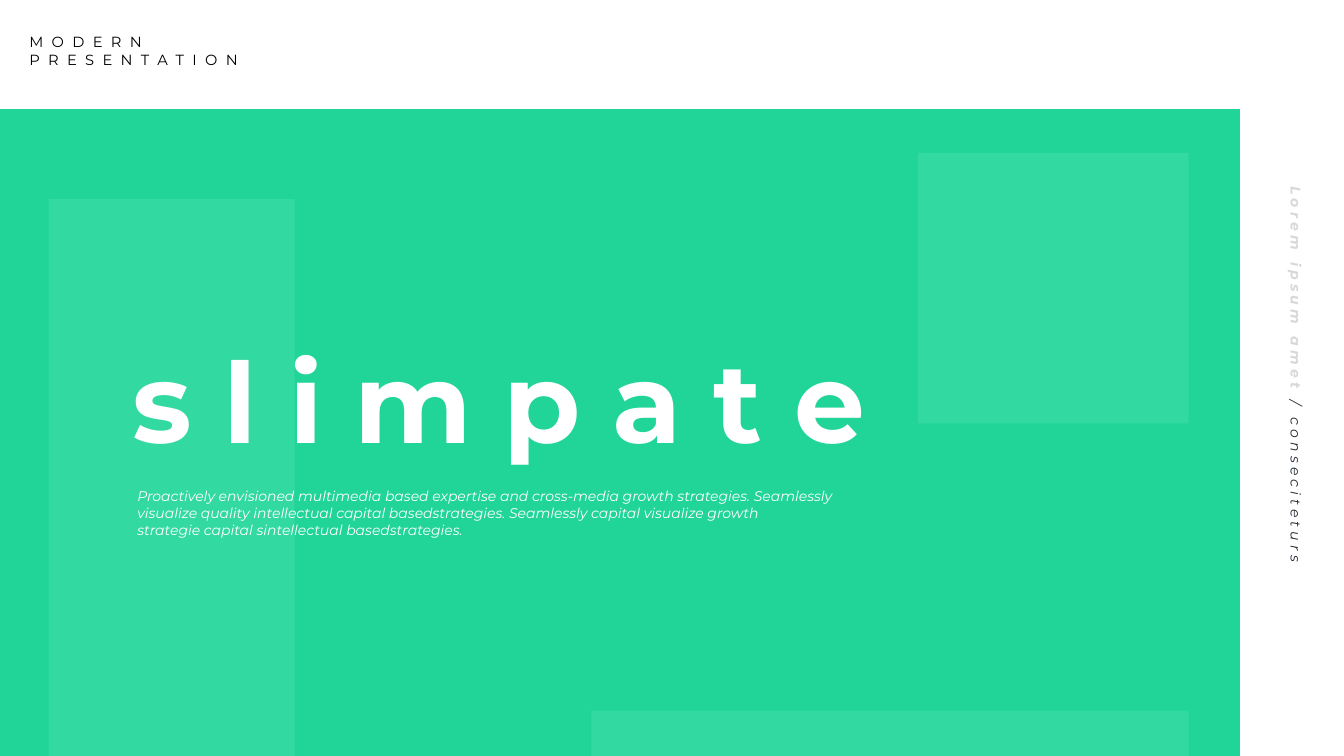
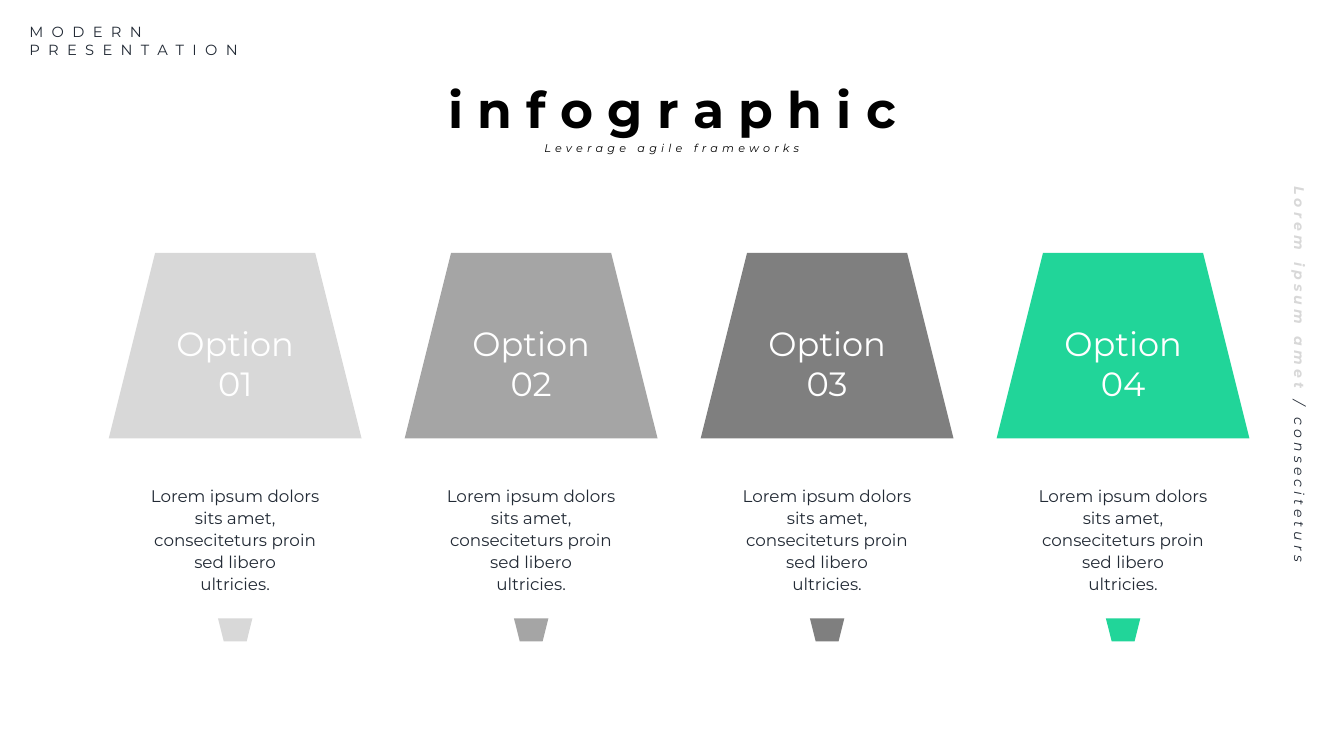
from dataclasses import dataclass, field
from typing import Any

from lxml import etree
from pptx import Presentation
from pptx.dml.color import RGBColor
from pptx.enum.shapes import MSO_SHAPE
from pptx.enum.text import MSO_AUTO_SIZE, PP_ALIGN
from pptx.oxml.ns import qn
from pptx.util import Inches, Pt

RECTANGLE = MSO_SHAPE.RECTANGLE
TRAPEZOID = MSO_SHAPE.TRAPEZOID
GROW = MSO_AUTO_SIZE.SHAPE_TO_FIT_TEXT
LEFT = PP_ALIGN.LEFT
CENTER = PP_ALIGN.CENTER

GREEN, MINT = "21D599", "76EAC3"
WHITE, BLACK, INK, SILVER = "FFFFFF", "000000", "222A35", "D8D8D8"
FONT = "Montserrat"
BLANK_LAYOUT = 6

SLIDE_WIDTH, SLIDE_HEIGHT = Inches(13.33), Inches(7.5)
COLUMNS, ROWS = 160, 90
CELL_WIDTH, CELL_HEIGHT = SLIDE_WIDTH / COLUMNS, SLIDE_HEIGHT / ROWS


@dataclass(frozen=True)
class Frame:
    column: float
    row: float
    columns: float
    rows: float

    def lengths(self) -> tuple[int, int, int, int]:
        return (
            round(self.column * CELL_WIDTH),
            round(self.row * CELL_HEIGHT),
            round(self.columns * CELL_WIDTH),
            round(self.rows * CELL_HEIGHT),
        )


@dataclass(frozen=True)
class Style:
    size: float
    color: str
    tracking: float = 0
    font: dict[str, bool] = field(default_factory=dict)


@dataclass(frozen=True)
class Span:
    text: str
    style: Style


@dataclass(frozen=True)
class Layout:
    align: Any = LEFT
    line_spacing: float = 1.0
    inset: bool = True
    rotation: float = 0


@dataclass(frozen=True)
class Option:
    title: str
    color: str


ITALIC = {"italic": True}
BOLD = {"bold": True}
FLUSH = Layout(inset=False)
OPTIONS = [
    Option("Option 01", SILVER),
    Option("Option 02", "A5A5A5"),
    Option("Option 03", "7F7F7F"),
    Option("Option 04", GREEN),
]
FIRST_CENTER, LAST_CENTER = 28, 133.7
PITCH = (LAST_CENTER - FIRST_CENTER) / (len(OPTIONS) - 1)


def rgb(color: str) -> RGBColor:
    return RGBColor.from_string(color)


def set_values(target: Any, values: dict[str, Any]) -> None:
    for name, value in values.items():
        setattr(target, name, value)


def add_block(page: Any, frame: Frame, color: str, kind: Any = RECTANGLE,
              opacity: int = 100, rotation: float = 0) -> None:
    box = page.shapes.add_shape(kind, *frame.lengths())
    box.shadow.inherit = False
    box.rotation = rotation
    box.fill.solid()
    box.fill.fore_color.rgb = rgb(color)
    box.line.fill.background()
    if opacity < 100:
        fill_color = box.element.spPr.find(qn("a:solidFill"))[0]
        etree.SubElement(fill_color, qn("a:alpha"), val=str(opacity * 1000))


def add_text(page: Any, frame: Frame, lines: list[list[Span]],
             layout: Layout = Layout()) -> None:
    box = page.shapes.add_textbox(*frame.lengths())
    box.rotation = layout.rotation
    text = box.text_frame
    set_values(text, {"word_wrap": True, "auto_size": GROW})
    if not layout.inset:
        set_values(text, {f"margin_{side}": 0 for side in ("left", "top", "right", "bottom")})
    for index, line in enumerate(lines):
        para = text.paragraphs[0] if index == 0 else text.add_paragraph()
        set_values(para, {"alignment": layout.align, "line_spacing": layout.line_spacing})
        for item in line:
            span = para.add_run()
            span.text = item.text
            style = item.style
            set_values(span.font, {"name": FONT, "size": Pt(style.size), **style.font})
            span.font.color.rgb = rgb(style.color)
            if style.tracking:
                span.font._element.set("spc", str(round(style.tracking * 100)))


def plain_lines(style: Style, *texts: str) -> list[list[Span]]:
    return [[Span(text, style)] for text in texts]


def add_page(deck: Any, header_row: float, header_color: str, side_column: float) -> Any:
    page = deck.slides.add_slide(deck.slide_layouts[BLANK_LAYOUT])
    header = Style(10.5, header_color, 6)
    add_text(page, Frame(3.5, header_row, 34.4, 4.2),
             plain_lines(header, "MODERN", "PRESENTATION"), FLUSH)
    side_line = [
        Span("Lorem ipsum amet ", Style(10, SILVER, 3, BOLD | ITALIC)),
        Span("/ conseciteturs ", Style(10, INK, 3, ITALIC)),
    ]
    add_text(page, Frame(side_column, 43.3, 85.9, 3.4), [side_line],
             Layout(CENTER, 1.1, rotation=90))
    return page


def build_cover(deck: Any) -> None:
    page = add_page(deck, 3.95, BLACK, 111.45)
    add_block(page, Frame(0, 13, 147.6, 77), GREEN)
    for frame in (
        Frame(5.8, 23.7, 29.3, 66.3),
        Frame(109.3, 18.2, 32.2, 32.2),
        Frame(70.4, 84.6, 71.1, 5.4),
    ):
        add_block(page, frame, MINT, opacity=20)
    add_text(page, Frame(14.6, 38.9, 91.1, 17.4),
             plain_lines(Style(80, WHITE, font=BOLD), "s l i m p a t e"))
    add_text(page, Frame(16.35, 58.05, 83, 6), plain_lines(
        Style(10, WHITE, font=ITALIC),
        "Proactively envisioned multimedia based expertise and cross-media growth "
        "strategies. Seamlessly visualize quality intellectual capital "
        "basedstrategies. Seamlessly capital visualize growth",
        "strategie capital sintellectual basedstrategies.",
    ), FLUSH)


def add_option(page: Any, option: Option, center: float) -> None:
    def centered(row: float, columns: float, rows: float) -> Frame:
        return Frame(center - columns / 2, row, columns, rows)

    add_block(page, centered(30.1, 30.1, 22.1), option.color, TRAPEZOID)
    add_text(page, centered(37.8, 21.1, 10.9),
             plain_lines(Style(24, WHITE), option.title), Layout(CENTER))
    add_text(page, centered(56.95, 23.9, 14.5), plain_lines(
        Style(12, INK),
        "Lorem ipsum dolors sits amet, conseciteturs proin sed libero",
        "ultricies.",
    ), Layout(CENTER, 1.1))
    add_block(page, centered(73.6, 4.1, 2.75), option.color, TRAPEZOID, rotation=180)


def build_infographic(deck: Any) -> None:
    page = add_page(deck, 2.75, INK, 111.85)
    add_text(page, Frame(41.3, 8.7, 77.4, 8.5),
             plain_lines(Style(36, BLACK, font=BOLD), "i n f o g r a p h i c"),
             Layout(CENTER))
    add_text(page, Frame(58.4, 16, 43.2, 2.2),
             plain_lines(Style(8, BLACK, 3, ITALIC), "Leverage agile frameworks"),
             Layout(CENTER, 1.5, inset=False))
    for index, option in enumerate(OPTIONS):
        add_option(page, option, FIRST_CENTER + index * PITCH)


def main() -> None:
    deck = Presentation()
    set_values(deck, {"slide_width": SLIDE_WIDTH, "slide_height": SLIDE_HEIGHT})
    build_cover(deck)
    build_infographic(deck)
    deck.save("out.pptx")


if __name__ == "__main__":
    main()
